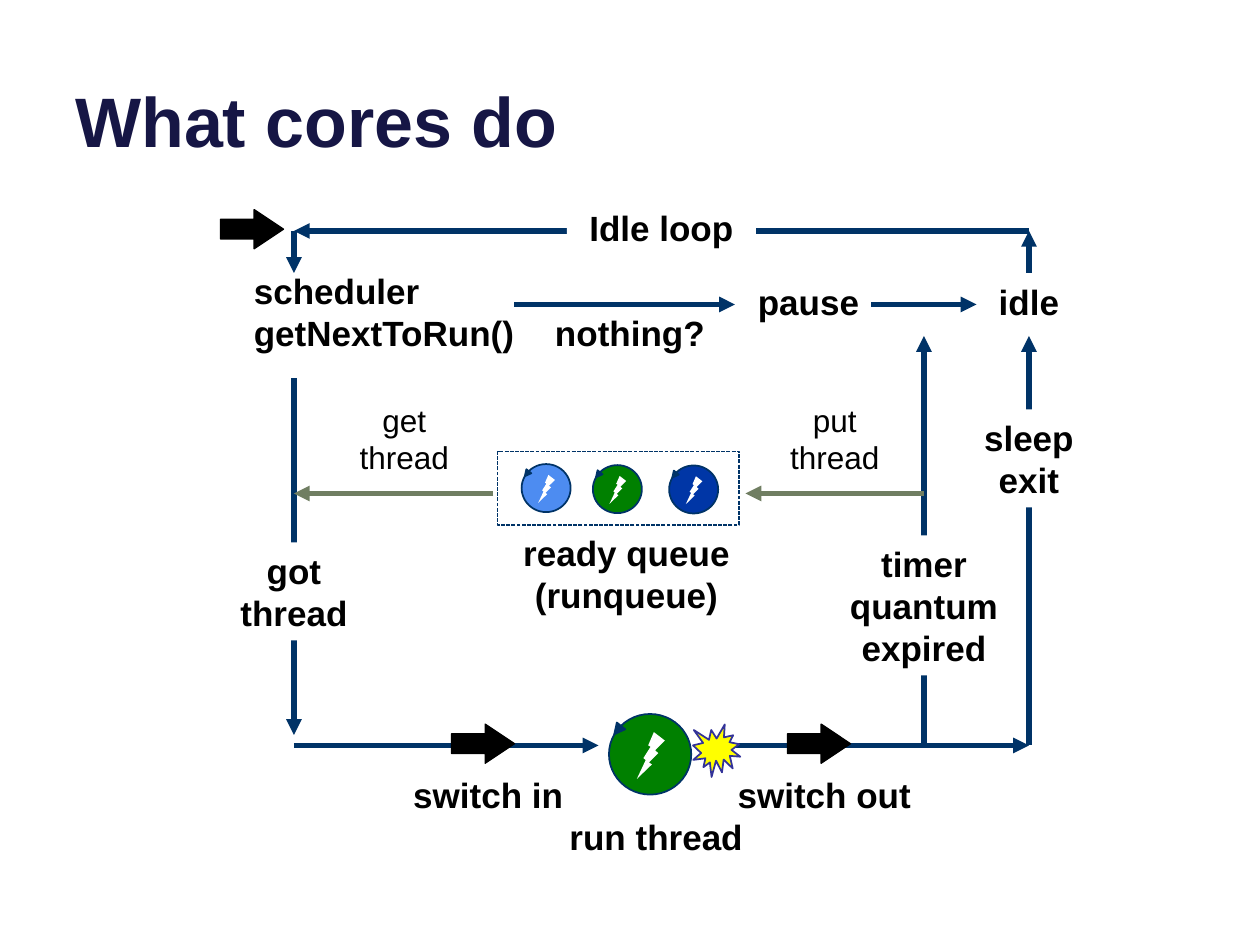
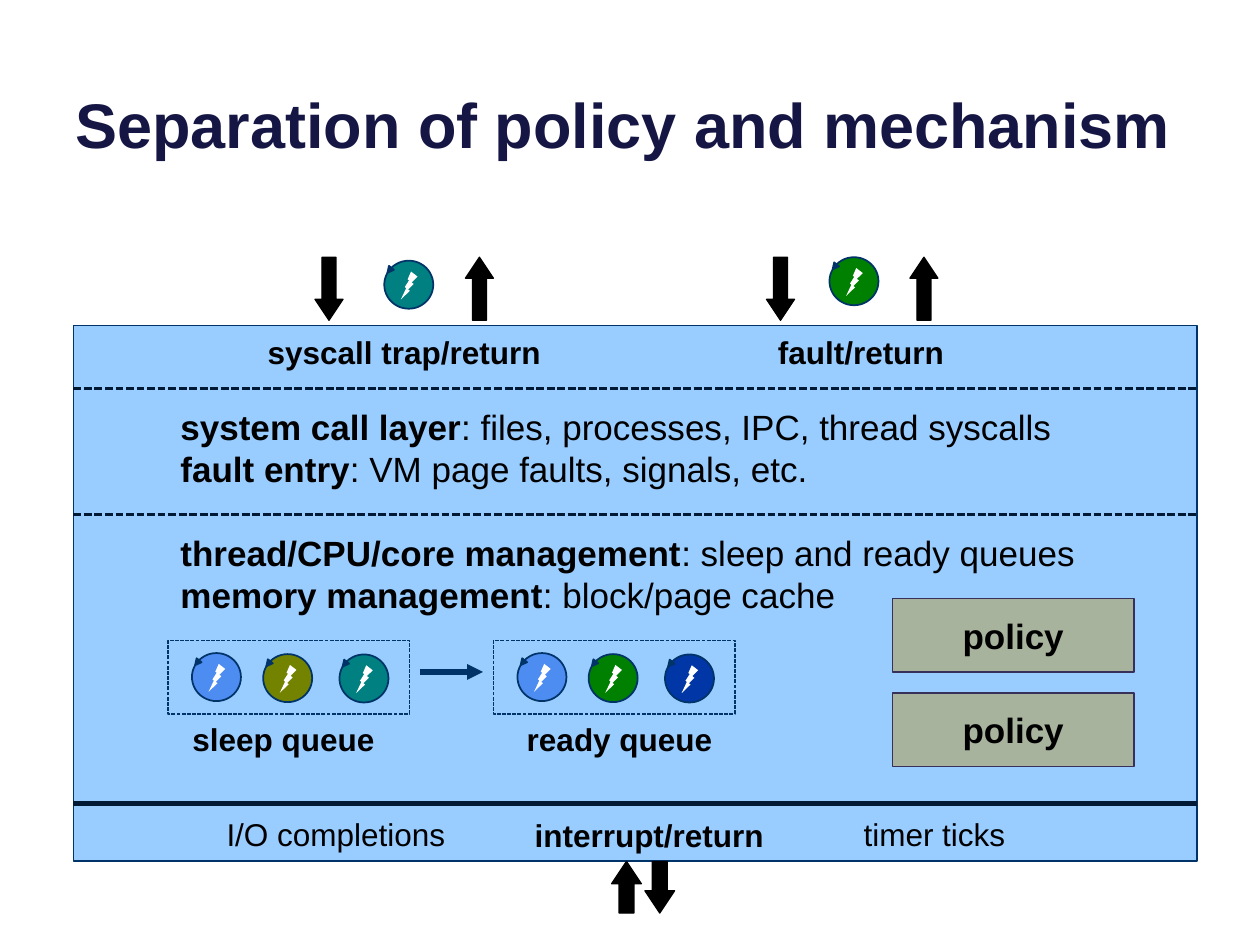
"""Builds two slides on how cores run threads and how a kernel is layered."""
from lxml import etree
from pptx import Presentation
from pptx.dml.color import RGBColor
from pptx.enum.dml import MSO_LINE
from pptx.enum.shapes import MSO_CONNECTOR, MSO_SHAPE
from pptx.enum.text import MSO_ANCHOR, PP_ALIGN
from pptx.oxml.ns import qn
from pptx.util import Pt

STRAIGHT = MSO_CONNECTOR.STRAIGHT
RECTANGLE, PROCESS = MSO_SHAPE.RECTANGLE, MSO_SHAPE.FLOWCHART_PROCESS
OVAL, BOLT, TRIANGLE = MSO_SHAPE.OVAL, MSO_SHAPE.LIGHTNING_BOLT, MSO_SHAPE.ISOSCELES_TRIANGLE
UP_ARROW, BURST = MSO_SHAPE.UP_ARROW, MSO_SHAPE.EXPLOSION1
DASHED = MSO_LINE.SQUARE_DOT
LEFT, CENTER = PP_ALIGN.LEFT, PP_ALIGN.CENTER
TOP, MIDDLE, BOTTOM = MSO_ANCHOR.TOP, MSO_ANCHOR.MIDDLE, MSO_ANCHOR.BOTTOM

FONT = "Arial"
COLORS = {
    "title": "161645", "text": "000000", "white": "FFFFFF", "navy": "003367",
    "divider": "001934", "queue_move": "707E62", "kernel": "99CCFF",
    "policy": "A8B39D", "policy_edge": "37305A", "burst": "FFFF00", "burst_edge": "333399",
    "sky": "4D8CF1", "green": "008000", "blue": "0036A6", "olive": "738300", "teal": "008080",
}
TITLE_BOX = (36, -26.6, 648, 122.4)
CYCLE_BOX = (168, 132, 420, 294)
KERNEL_BOX = (42, 186, 642, 306)
QUEUE_SIZE = (138, 42)
THREAD_SIZE = 28
THREAD_OFFSETS = [(13.7, 7.2), (54.4, 7.8), (98, 8)]
READY_THREADS = ["sky", "green", "blue"]
SLEEP_THREADS = ["sky", "olive", "teal"]
UP, RIGHT, DOWN = 0, 90, 180


def rgb(name):
    """Return the named colour."""
    return RGBColor.from_string(COLORS[name])


def add_outline(shapes, kind, box, fill=None, edge=None, weight=1.0, dash=None):
    """Add a preset shape with plain fill and line."""
    outline = shapes.add_shape(kind, *map(Pt, box))
    outline.shadow.inherit = False
    if fill:
        outline.fill.solid()
        outline.fill.fore_color.rgb = rgb(fill)
    else:
        outline.fill.background()
    if edge:
        outline.line.color.rgb = rgb(edge)
        outline.line.width = Pt(weight)
        if dash:
            outline.line.dash_style = dash
    else:
        outline.line.fill.background()
    return outline


def add_line(slide, start, end, color="navy", weight=3, dash=None, arrow=True):
    """Draw a straight line, by default with an arrowhead at its end."""
    line = slide.shapes.add_connector(STRAIGHT, *map(Pt, (*start, *end)))
    line.line.color.rgb = rgb(color)
    line.line.width = Pt(weight)
    if dash:
        line.line.dash_style = dash
    properties = line._element.spPr
    if arrow:
        etree.SubElement(properties.find(qn("a:ln")), qn("a:tailEnd"), type="triangle")
    etree.SubElement(properties, qn("a:effectLst"))


def format_run(run, size, bold, color="text"):
    """Set the font of one run."""
    run.font.name = FONT
    run.font.size = Pt(size)
    run.font.bold = bold
    run.font.color.rgb = rgb(color)


def write(holder, text, size=20, bold=True, align=CENTER, anchor=MIDDLE, color="text"):
    """Write lines of uniform text into a shape."""
    frame = holder.text_frame
    frame.word_wrap = True
    frame.vertical_anchor = anchor
    frame.text = text
    for paragraph in frame.paragraphs:
        paragraph.alignment = align
        for run in paragraph.runs:
            format_run(run, size, bold, color)


def add_label(slide, text, box, masked=False, **style):
    """Add a text box, with a white ground where it interrupts a line."""
    label = slide.shapes.add_textbox(*map(Pt, box))
    if masked:
        label.fill.solid()
        label.fill.fore_color.rgb = rgb("white")
    write(label, text, **style)


def add_layer_text(slide, box, entries):
    """List kernel layers, each with a bold name before its duties."""
    layer = slide.shapes.add_textbox(*map(Pt, box))
    frame = layer.text_frame
    frame.word_wrap = True
    for index, (name, duties) in enumerate(entries):
        paragraph = frame.add_paragraph() if index else frame.paragraphs[0]
        for text, bold in ((name, True), (": " + duties, False)):
            run = paragraph.add_run()
            run.text = text
            format_run(run, 20, bold)


def add_title(slide, text, size):
    """Add the slide title, resting on the bottom of its box."""
    add_label(slide, text, TITLE_BOX, size=size, align=LEFT, anchor=BOTTOM, color="title")


def add_block_arrow(slide, center, direction, width=16, length=36):
    """Add a black block arrow around a centre point."""
    x, y = center
    box = (x - width / 2, y - length / 2, width, length)
    arrow = add_outline(slide.shapes, UP_ARROW, box, "text", "text", 0.75)
    arrow.adjustments[1] = 0.75
    arrow.rotation = direction


def add_thread(slide, left, top, color, size=THREAD_SIZE):
    """Add a thread: a looping circle with a bolt inside."""
    parts = slide.shapes.add_group_shape().shapes

    def inside(x, y, width, height):
        """Scale a share of the circle to points."""
        return left + x * size, top + y * size, width * size, height * size

    add_outline(parts, OVAL, inside(0, 0, 1, 0.98), color, "navy")
    bolt = add_outline(parts, BOLT, inside(0.34, 0.22, 0.34, 0.57), "white")
    bolt._element.spPr.find(qn("a:xfrm")).set("flipH", "1")
    loop_head = add_outline(parts, TRIANGLE, inside(0.04, 0.13, 0.13, 0.13), "navy", "navy")
    loop_head.rotation = 219


def add_queue(slide, left, top, thread_colors):
    """Add a dashed queue holding three threads."""
    for (x, y), color in zip(THREAD_OFFSETS, thread_colors):
        add_thread(slide, left + x, top + y, color)
    add_outline(slide.shapes, RECTANGLE, (left, top, *QUEUE_SIZE), None, "navy", 0.75, DASHED)


def add_core_cycle(slide, box):
    """Draw the scheduling cycle of a core around the given box."""
    left, top, right, bottom = box
    timer_x, choice_y, queue_y, label_gap = 360, 42, 150, 24

    def at(x, y, *size):
        """Move a place in the cycle onto the slide."""
        return (left + x, top + y, *size)

    flows = [
        ((0, 84), (0, bottom - 6)),
        ((126, choice_y), (252, choice_y)),
        ((330, choice_y), (390, choice_y)),
        ((0, bottom), (174, bottom)),
        ((234, bottom), (right, bottom)),
        ((right, bottom), (right, 60)),
        ((timer_x, bottom), (timer_x, 60)),
        ((right, 0), (0, 0)),
        ((right, label_gap), (right, 0)),
        ((0, 0), (0, label_gap)),
    ]
    for start, end in flows:
        add_line(slide, at(*start), at(*end))
    for start_x, end_x in ((114, 0), (timer_x, 258)):
        add_line(slide, at(start_x, queue_y), at(end_x, queue_y), "queue_move")

    add_queue(slide, *at(116.4, 126), READY_THREADS)
    add_label(slide, "scheduler\ngetNextToRun()", at(-30, 18, 180, 56), align=LEFT)
    for text, place in [
        ("got thread", (-54, 178, 108, 56)),
        ("sleep\nexit", (366, 102, 108, 56)),
        ("timer\nquantum expired", (306, 174, 108, 80)),
        ("run thread", (132, 330, 150, 32)),
        ("Idle loop", (156, -18, 108, 32)),
    ]:
        add_label(slide, text, at(*place), masked=True)
    for text, place in [
        ("ready queue\n(runqueue)", (122, 168, 136, 56)),
        ("nothing?", (132, 42, 120, 32)),
        ("pause", (240, 24, 108, 32)),
        ("idle", (366, 24, 108, 32)),
        ("switch in", (36, 306, 150, 32)),
        ("switch out", (228, 306, 150, 32)),
    ]:
        add_label(slide, text, at(*place))
    for text, x in (("get thread", 24), ("put thread", 270)):
        add_label(slide, text, at(x, 93, 78, 51), masked=True, size=18, bold=False)

    add_thread(slide, *at(180, 276), "green", size=47)
    add_outline(slide.shapes, BURST, at(228, 282, 27, 30), "burst", "burst_edge")
    for x, y in ((108, bottom - 1), (300, bottom - 1), (-24, -1)):
        add_block_arrow(slide, at(x, y), RIGHT, width=22.4)


def add_kernel(slide, box):
    """Draw the layered kernel with its entry points in the given box."""
    left, top, width, height = box

    def at(x, y, *size):
        """Move a place in the kernel onto the slide."""
        return (left + x, top + y, *size)

    add_outline(slide.shapes, PROCESS, box, "kernel", "navy")
    for y, weight, dash in ((36, 1.5, DASHED), (108, 1.5, DASHED), (273, 3, None)):
        add_line(slide, at(0, y), at(width, y), "divider", weight, dash, arrow=False)

    for x, direction in ((146, DOWN), (232, UP), (404, DOWN), (486, UP)):
        add_block_arrow(slide, at(x, -21), direction)
    for x, direction in ((316, UP), (335, DOWN)):
        add_block_arrow(slide, at(x, height + 15), direction, width=17, length=29.5)
    add_thread(slide, *at(177.6, -37), "teal")
    add_thread(slide, *at(432, -39), "green")

    for text, place, bold in [
        ("syscall trap/return", (96, 0.5, 186, 30), True),
        ("fault/return", (378, 0.5, 144, 30), True),
        ("I/O completions", (24, 276, 252, 30), False),
        ("interrupt/return", (250, 277, 158, 30), True),
        ("timer ticks", (366, 276, 252, 30), False),
    ]:
        add_label(slide, text, at(*place), size=18, bold=bold, anchor=TOP)

    add_layer_text(slide, at(54, 42, 552, 56), [
        ("system call layer", "files, processes, IPC, thread syscalls"),
        ("fault entry", "VM page faults, signals, etc."),
    ])
    add_layer_text(slide, at(54, 114, 552, 56), [
        ("thread/CPU/core management", "sleep and ready queues"),
        ("memory management", "block/page cache"),
    ])

    for x, label_x, name, threads in [
        (54, 42, "sleep queue", SLEEP_THREADS),
        (240, 234, "ready queue", READY_THREADS),
    ]:
        add_queue(slide, *at(x, 180), threads)
        add_label(slide, name, at(label_x, 222, 156, 29), size=18)
    add_line(slide, at(198, 198), at(234, 198))

    for y in (156, 210):
        policy = add_outline(slide.shapes, RECTANGLE, at(468, y, *QUEUE_SIZE),
                             "policy", "policy_edge", 0.75)
        write(policy, "policy")


def main():
    """Build and save both slides."""
    deck = Presentation()
    deck.slide_width, deck.slide_height = Pt(720), Pt(540)
    blank = deck.slide_layouts[6]
    for title, size, draw, box in [
        ("What cores do", 40, add_core_cycle, CYCLE_BOX),
        ("Separation of policy and mechanism", 36, add_kernel, KERNEL_BOX),
    ]:
        slide = deck.slides.add_slide(blank)
        add_title(slide, title, size)
        draw(slide, box)
    deck.save("out.pptx")


if __name__ == "__main__":
    main()
